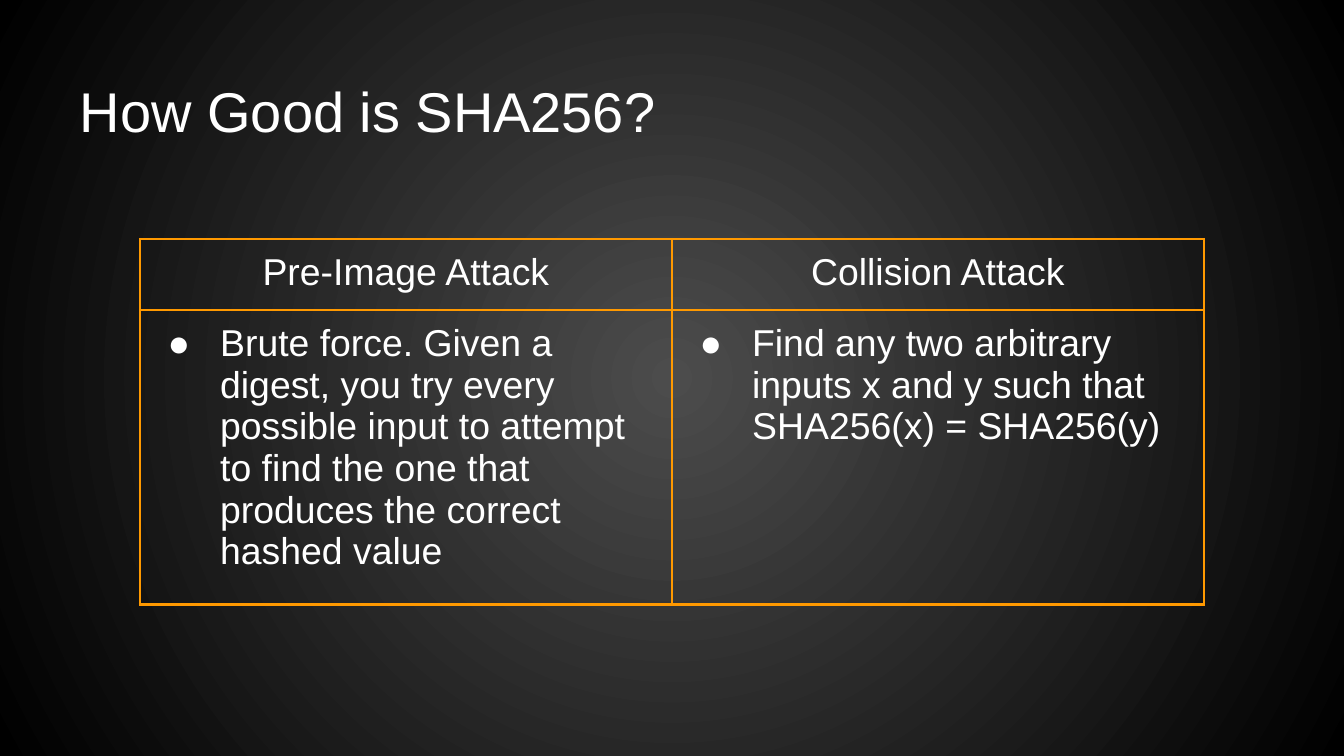
from pptx import Presentation
from pptx import util as u
from pptx.dml.color import RGBColor
from pptx.enum import text
from pptx.oxml.ns import qn
from lxml import etree

PX = 914400 / 134.4
WHITE, ORANGE = "FFFFFF", "FF9900"
INSET = 13
COL_W, ROW_H = 532, (69, 276)
HEADINGS = ("Pre-Image Attack", "Collision Attack")
DETAILS = (
    "Brute force. Given a digest, you try every possible input to attempt "
    "to find the one that produces the correct hashed value",
    "Find any two arbitrary inputs x and y such that SHA256(x) = SHA256(y)",
)


def px(n):
    return u.Emu(round(n * PX))


def rgb(value):
    return RGBColor.from_string(value)


def sub(parent, tag, **attrs):
    return etree.SubElement(parent, qn(tag), attrs)


def set_margins(target):
    for side in ("left", "top", "right", "bottom"):
        setattr(target, f"margin_{side}", px(INSET))


def set_background(slide, inner, outer):
    """Fill the slide with a circular gradient from its centre."""
    fill = slide.background.fill
    fill.gradient()
    for stop, colour in zip(fill.gradient_stops, (inner, outer)):
        stop.color.rgb = rgb(colour)
    grad = next(slide.element.iter(qn("a:gradFill")))
    grad.remove(grad.find(qn("a:lin")))
    circle = sub(grad, "a:path", path="circle")
    sub(circle, "a:fillToRect", l="50000", t="50000", r="50000", b="50000")


def write(tf, words, size, align):
    p = tf.paragraphs[0]
    p.alignment = align
    r = p.add_run()
    r.text = words
    fmt = {"name": "Arial", "size": u.Pt(size), "bold": False}
    for key, value in fmt.items():
        setattr(r.font, key, value)
    r.font.color.rgb = rgb(WHITE)
    return p


def add_title(slide, words):
    sp = slide.shapes.add_textbox(px(67), px(31), px(1210), px(126))
    tf = sp.text_frame
    tf.word_wrap = True
    tf.vertical_anchor = text.MSO_ANCHOR.BOTTOM
    set_margins(tf)
    write(tf, words, 30, text.PP_ALIGN.LEFT)


def add_bullet(p):
    pPr = p._p.get_or_add_pPr()
    pPr.set("marL", str(u.Inches(0.5)))
    pPr.set("indent", str(u.Inches(-0.39)))
    sub(sub(pPr, "a:buClr"), "a:srgbClr", val=WHITE)
    sub(pPr, "a:buFont", typeface="Arial")
    sub(pPr, "a:buChar", char="●")


def set_borders(cell, colour, width):
    tcPr = cell._tc.get_or_add_tcPr()
    for i, side in enumerate("LRTB"):
        ln = etree.Element(qn(f"a:ln{side}"), w=str(u.Pt(width)))
        sub(sub(ln, "a:solidFill"), "a:srgbClr", val=colour)
        tcPr.insert(i, ln)  # borders come before the cell's fill


def add_attack_table(slide):
    rows = (HEADINGS, DETAILS)
    frame = slide.shapes.add_table(2, 2, px(140), px(239),
                                   px(2 * COL_W), px(sum(ROW_H)))
    table = frame.table
    table.first_row = table.horz_banding = False
    for col in table.columns:
        col.width = px(COL_W)
    for i, (row, height) in enumerate(zip(rows, ROW_H)):
        table.rows[i].height = px(height)
        for j, words in enumerate(row):
            cell = table.cell(i, j)
            set_margins(cell)
            cell.fill.background()
            set_borders(cell, ORANGE, 1.5)
            is_heading = i == 0
            align = text.PP_ALIGN.CENTER if is_heading else text.PP_ALIGN.LEFT
            p = write(cell.text_frame, words, 20, align)
            if not is_heading:
                add_bullet(p)


def main():
    prs = Presentation()
    prs.slide_width, prs.slide_height = px(1344), px(756)
    slide = prs.slides.add_slide(prs.slide_layouts[6])
    set_background(slide, "4C4C4C", "000000")
    add_title(slide, "How Good is SHA256?")
    add_attack_table(slide)
    prs.save("out.pptx")


if __name__ == "__main__":
    main()
